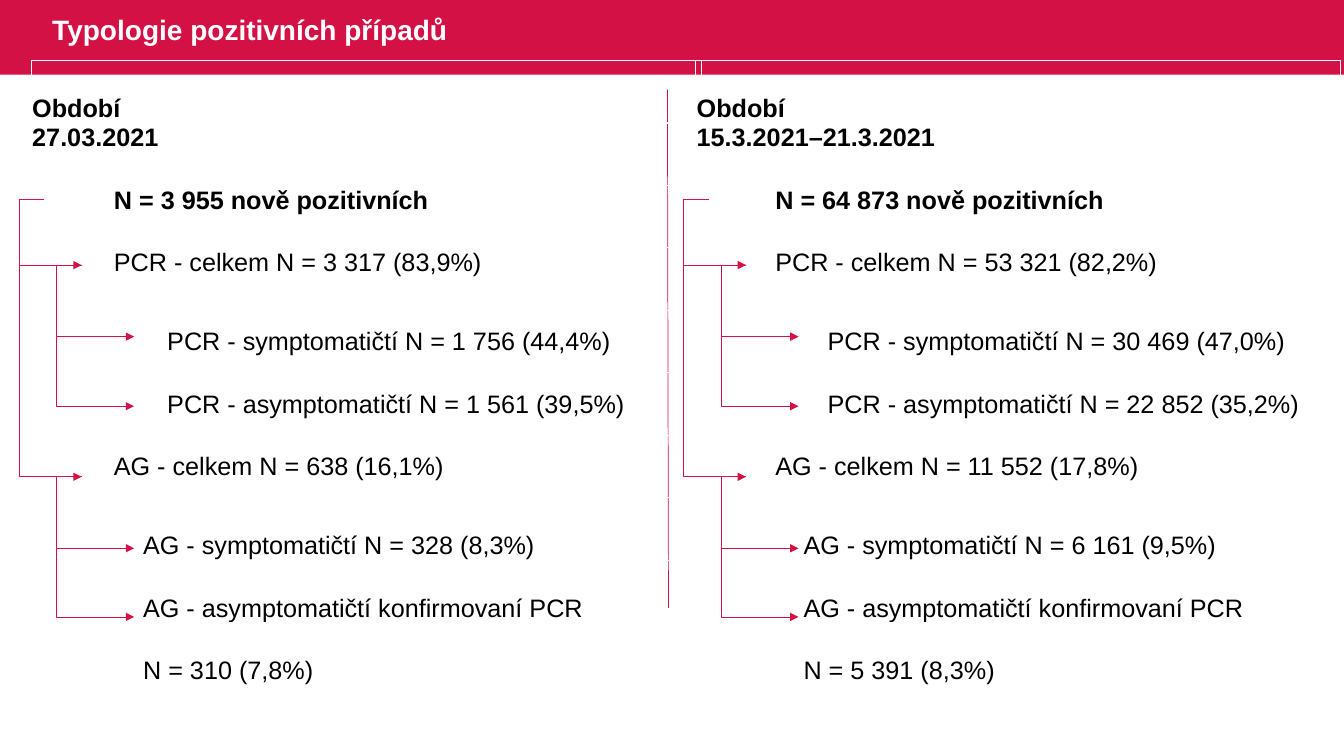
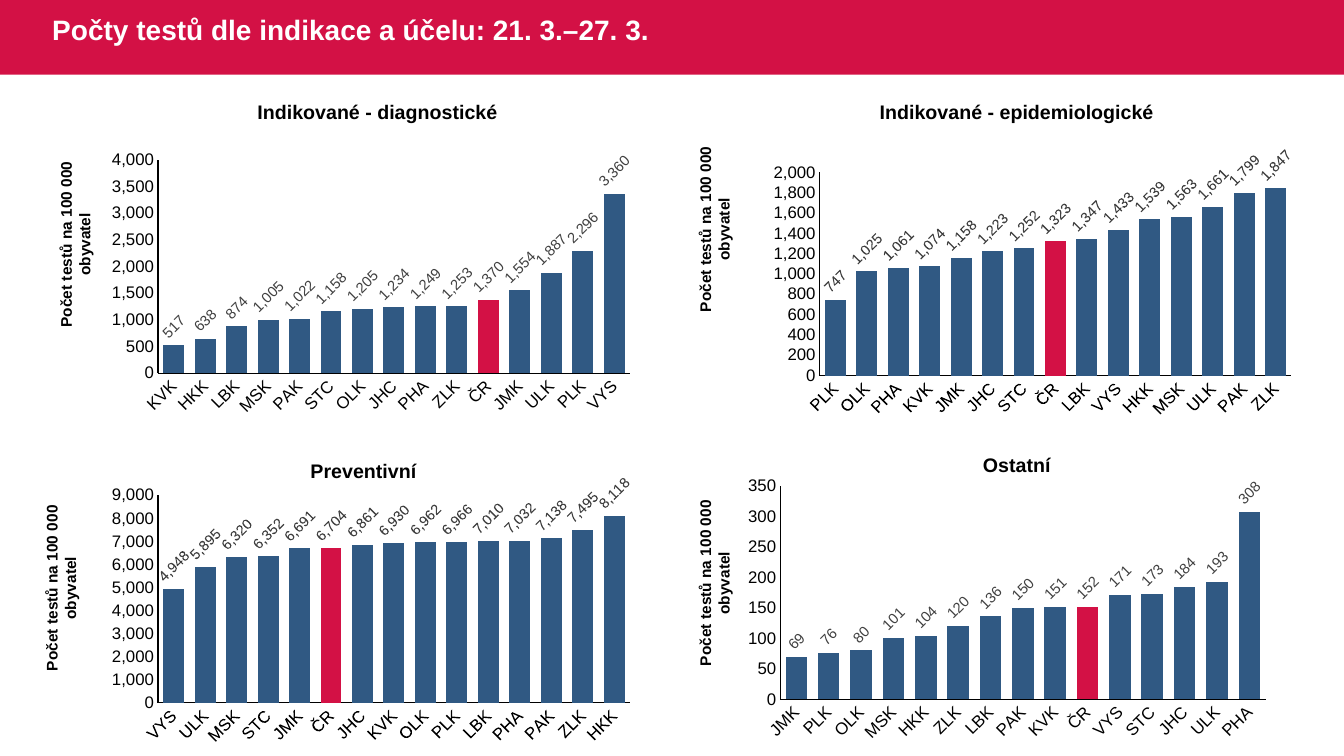
from dataclasses import dataclass

from lxml import etree
from pptx import Presentation
from pptx import util as u
from pptx.chart import data as chart_data
from pptx.dml.color import RGBColor
from pptx.enum import chart as chart_enum
from pptx.enum import shapes, text
from pptx.oxml import parse_xml
from pptx.oxml.ns import nsdecls, qn

FONT = "Arial"
COLORS = {
    "red": "D31145",
    "blue": "305983",
    "black": "000000",
    "white": "FFFFFF",
    "label": "404040",
}
AXIS_TITLE = "Počet testů na 100 000 obyvatel"
NATION = "ČR"
SLANT = "-2700000"  # 45 degrees upwards
ROW_HEIGHT = 0.62
TABLE_TOP = 0.6


@dataclass
class CaseTree:
    left: float
    columns: tuple[float, ...]
    arrow_left: float
    lines: tuple[str, ...]


@dataclass
class Arrow:
    start: tuple[float, float]
    end: tuple[float, float]
    bend: float


@dataclass
class RegionChart:
    title: str
    title_at: tuple[float, float]
    axis_title_at: tuple[float, float]
    chart_at: tuple[float, float]
    plot: tuple[float, float, float, float]  # fractions of the chart
    maximum: int
    step: int
    regions: str
    values: tuple[int, ...]


TOP, MIDDLE, BOTTOM = (
    text.MSO_ANCHOR.TOP, text.MSO_ANCHOR.MIDDLE, text.MSO_ANCHOR.BOTTOM)

# First column, anchor and weight of each table row
ROW_STYLES = (
    (0, BOTTOM, True), (0, TOP, True), (1, TOP, True), (1, TOP, False),
    (3, MIDDLE, False), (3, MIDDLE, False), (1, MIDDLE, False),
    (2, BOTTOM, False), (2, BOTTOM, False), (2, BOTTOM, False),
)

CASE_TREES = (
    CaseTree(0.31, (0.81, 0.29, 0.2, 5.31), 0.19, (
        "Období", "27.03.2021", "N = 3 955 nově pozitivních",
        "PCR - celkem N = 3 317 (83,9%)",
        "PCR - symptomatičtí N = 1 756 (44,4%)",
        "PCR - asymptomatičtí N = 1 561 (39,5%)",
        "AG - celkem N = 638 (16,1%)",
        "AG - symptomatičtí N = 328 (8,3%)",
        "AG - asymptomatičtí konfirmovaní PCR", "N = 310 (7,8%)")),
    CaseTree(6.9, (0.78, 0.28, 0.19, 5.1), 6.78, (
        "Období", "15.3.2021–21.3.2021", "N = 64 873 nově pozitivních",
        "PCR - celkem N = 53 321 (82,2%)",
        "PCR - symptomatičtí N = 30 469 (47,0%)",
        "PCR - asymptomatičtí N = 22 852 (35,2%)",
        "AG - celkem N = 11 552 (17,8%)",
        "AG - symptomatičtí N = 6 161 (9,5%)",
        "AG - asymptomatičtí konfirmovaní PCR", "N = 5 391 (8,3%)")),
)

# Arrow positions: x counts from the left edge of the tree
TOTAL_Y, PCR_Y, AG_Y = 1.98, 2.63, 4.73
ARROWS = tuple(
    [Arrow((0.25, TOTAL_Y), (0.62, y), 0) for y in (AG_Y, PCR_Y)]
    + [Arrow((0.62, start), (1.14, end), 0.37)
       for start, ends in ((PCR_Y, (3.34, 4.03)), (AG_Y, (5.44, 6.12)))
       for end in ends])

REGION_CHARTS = (
    RegionChart(
        "Indikované - diagnostické", (1.32, 0.94), (-0.26, 2.19), (1, 1.45),
        (0.106, 0.05, 0.875, 0.775), 4000, 500,
        "KVK HKK LBK MSK PAK STC OLK JHC PHA ZLK ČR JMK ULK PLK VYS",
        (517, 638, 874, 1005, 1022, 1158, 1205, 1234, 1249, 1253, 1370,
         1554, 1887, 2296, 3360)),
    RegionChart(
        "Indikované - epidemiologické", (7.66, 0.94), (6.08, 2.04),
        (7.55, 1.45), (0.108, 0.09, 0.875, 0.743), 2000, 200,
        "PLK OLK PHA KVK JMK JHC STC ČR LBK VYS HKK MSK ULK PAK ZLK",
        (747, 1025, 1061, 1074, 1158, 1223, 1252, 1323, 1347, 1433, 1539,
         1563, 1661, 1799, 1847)),
    RegionChart(
        "Preventivní", (1.18, 4.5), (-0.4, 5.6), (1, 4.7),
        (0.106, 0.075, 0.875, 0.757), 9000, 1000,
        "VYS ULK MSK STC JMK ČR JHC KVK OLK PLK LBK PHA PAK ZLK HKK",
        (4948, 5895, 6320, 6352, 6691, 6704, 6861, 6930, 6962, 6966, 7010,
         7032, 7138, 7495, 8118)),
    RegionChart(
        "Ostatní", (7.66, 4.44), (6.08, 5.55), (7.31, 4.68),
        (0.08, 0.052, 0.9, 0.775), 350, 50,
        "JMK PLK OLK MSK HKK ZLK LBK PAK KVK ČR VYS STC JHC ULK PHA",
        (69, 76, 80, 101, 104, 120, 136, 150, 151, 152, 171, 173, 184, 193,
         308)),
)


def color(name: str) -> RGBColor:
    return RGBColor.from_string(COLORS[name])


def style_font(font, size: float, name: str = "black", bold: bool = False) -> None:
    font.name, font.size, font.bold = FONT, u.Pt(size), bold
    font.color.rgb = color(name)


def add_text(slide, content: str, left: float, top: float, width: float,
             height: float, size: float, name: str = "black",
             align=text.PP_ALIGN.CENTER, anchor=TOP):
    shape = slide.shapes.add_textbox(
        u.Inches(left), u.Inches(top), u.Inches(width), u.Inches(height))
    shape.text_frame.word_wrap = True
    shape.text_frame.vertical_anchor = anchor
    paragraph = shape.text_frame.paragraphs[0]
    paragraph.alignment = align
    run = paragraph.add_run()
    run.text = content
    style_font(run.font, size, name, True)
    return shape


def add_titled_slide(presentation, title: str):
    """Blank slide with the red band and its title."""
    slide = presentation.slides.add_slide(presentation.slide_layouts[6])
    band = slide.shapes.add_shape(
        shapes.MSO_SHAPE.RECTANGLE, 0, 0, presentation.slide_width, u.Inches(0.74))
    band.shadow.inherit = False
    band.fill.solid()
    band.fill.fore_color.rgb = color("red")
    band.line.fill.background()
    box = add_text(slide, title, 0.42, 0, 6.97, 0.63, 20, "white",
                   text.PP_ALIGN.LEFT, MIDDLE)
    box.text_frame.paragraphs[0].line_spacing = 0.9
    return slide


def add_line(slide, kind, start: tuple[float, float], end: tuple[float, float]):
    line = slide.shapes.add_connector(
        kind, *(u.Inches(value) for value in (*start, *end)))
    line.line.color.rgb = color("red")
    line.line.width = u.Pt(0.5)
    etree.SubElement(line._element.spPr, qn("a:effectLst"))
    return line


def add_arrow(slide, arrow: Arrow, left: float) -> None:
    """Elbow arrow whose bend lies to the left of its start."""
    (x1, y1), (x2, y2) = arrow.start, arrow.end
    line = add_line(slide, shapes.MSO_CONNECTOR.ELBOW,
                    (left + x1, y1), (left + x2, y2))
    adjust = round((arrow.bend - x1) / (x2 - x1) * 100000)
    guides = line._element.xpath(".//a:avLst")[0]
    etree.SubElement(guides, qn("a:gd"), name="adj1", fmla=f"val {adjust}")
    outline = line._element.xpath(".//a:ln")[0]
    etree.SubElement(outline, qn("a:tailEnd"), type="triangle")


def add_case_tree(slide, tree: CaseTree) -> None:
    frame = slide.shapes.add_table(
        len(tree.lines), len(tree.columns), u.Inches(tree.left),
        u.Inches(TABLE_TOP), u.Inches(sum(tree.columns)),
        u.Inches(ROW_HEIGHT * len(tree.lines)))
    table = frame.table
    table.first_row = table.horz_banding = False
    for column, width in zip(table.columns, tree.columns):
        column.width = u.Inches(width)
    for cell in table.iter_cells():
        cell.fill.background()
    last = len(tree.columns) - 1
    for row, (line, style) in enumerate(zip(tree.lines, ROW_STYLES)):
        first, anchor, bold = style
        table.rows[row].height = u.Inches(ROW_HEIGHT)
        cell = table.cell(row, first)
        if first < last:
            cell.merge(table.cell(row, last))
        cell.vertical_anchor = anchor
        cell.margin_left = cell.margin_right = cell.margin_top = u.Inches(0.01)
        cell.margin_bottom = 0
        run = cell.text_frame.paragraphs[0].add_run()
        run.text = line
        style_font(run.font, 18, bold=bold)
    for arrow in ARROWS:
        add_arrow(slide, arrow, tree.arrow_left)


def place_plot(chart, plot: tuple[float, float, float, float]) -> None:
    """Fix the inner plot area, given as fractions of the chart."""
    area = chart.element.xpath(".//c:plotArea")[0]
    for layout in area.findall(qn("c:layout")):
        area.remove(layout)
    marks = "".join(f'<c:{tag} val="{value}"/>'
                    for tag, value in zip("xywh", plot))
    area.insert(0, parse_xml(
        f'<c:layout {nsdecls("c")}><c:manualLayout>'
        '<c:layoutTarget val="inner"/><c:xMode val="edge"/>'
        f'<c:yMode val="edge"/>{marks}</c:manualLayout></c:layout>'))


def add_region_chart(slide, spec_data: RegionChart) -> None:
    regions = spec_data.regions.split()
    numbers = chart_data.CategoryChartData(number_format="#,##0")
    numbers.categories = regions
    numbers.add_series("Series 1", spec_data.values)
    left, top = spec_data.chart_at
    chart = slide.shapes.add_chart(
        chart_enum.XL_CHART_TYPE.COLUMN_CLUSTERED, u.Inches(left),
        u.Inches(top), u.Inches(5.35), u.Inches(2.73), numbers).chart
    chart.has_title = chart.has_legend = False
    style_font(chart.font, 10)
    place_plot(chart, spec_data.plot)

    # Axes
    for axis in (chart.category_axis, chart.value_axis):
        axis.has_major_gridlines = False
        axis.major_tick_mark = axis.minor_tick_mark = chart_enum.XL_TICK_MARK.NONE
        axis.format.line.color.rgb = color("black")
        axis.format.line.width = u.Pt(0.75)
        style_font(axis.tick_labels.font, 12)
    value_axis = chart.value_axis
    value_axis.minimum_scale, value_axis.maximum_scale = 0, spec_data.maximum
    value_axis.major_unit = spec_data.step
    value_axis.tick_labels.number_format = "#,##0"
    value_axis.tick_labels.number_format_is_linked = False

    # Columns, with the national figure in red
    plot = chart.plots[0]
    plot.gap_width, plot.overlap, plot.vary_by_categories = 50, -27, False
    series = plot.series[0]
    nation = series.points[regions.index(NATION)]
    for item, name in ((series, "blue"), (nation, "red")):
        item.format.fill.solid()
        item.format.fill.fore_color.rgb = color(name)

    # Slanted labels
    labels = series.data_labels
    labels.show_value = True
    labels.number_format, labels.number_format_is_linked = "#,##0", False
    labels.position = chart_enum.XL_LABEL_POSITION.OUTSIDE_END
    style_font(labels.font, 10.5, "label")
    for owner in ("c:dLbls", "c:catAx"):
        for body in chart.element.xpath(f".//{owner}/c:txPr/a:bodyPr"):
            body.set("rot", SLANT)
            body.set("vert", "horz")

    # Headings
    add_text(slide, spec_data.title, *spec_data.title_at, 4.85, 0.34, 14)
    add_text(slide, AXIS_TITLE, *spec_data.axis_title_at, 2.01, 0.47, 11).rotation = 270


def main() -> None:
    presentation = Presentation()
    presentation.slide_width = u.Inches(13.33)
    presentation.slide_height = u.Inches(7.5)

    # Case types
    slide = add_titled_slide(presentation, "Typologie pozitivních případů")
    add_line(slide, shapes.MSO_CONNECTOR.STRAIGHT, (6.62, 0.89), (6.63, 6.03))
    for tree in CASE_TREES:
        add_case_tree(slide, tree)

    # Tests by purpose
    slide = add_titled_slide(
        presentation, "Počty testů dle indikace a účelu: 21. 3.–27. 3.")
    for region_chart in REGION_CHARTS:
        add_region_chart(slide, region_chart)

    presentation.save("out.pptx")


if __name__ == "__main__":
    main()
